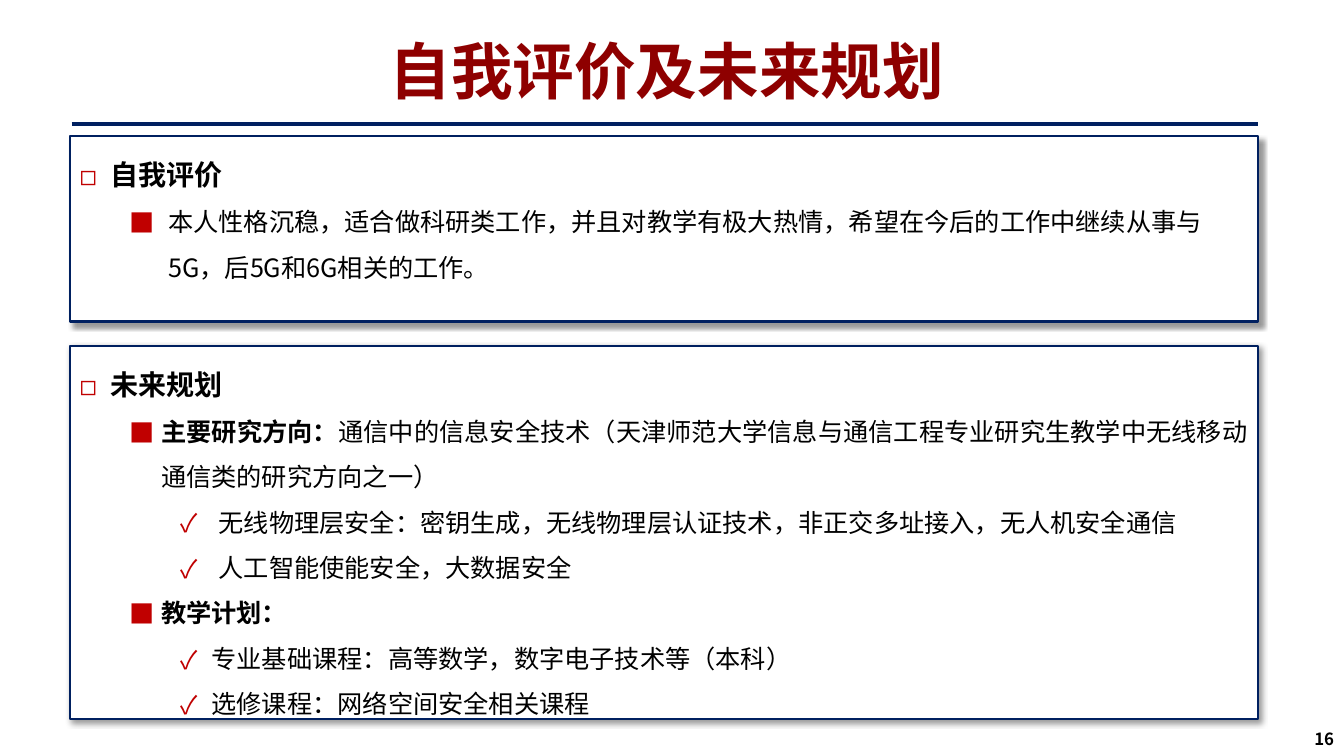
import pptx
import pptx.util
import pptx.dml.color
import pptx.enum.shapes
import pptx.enum.text
import pptx.oxml.ns
from lxml import etree

RGB = pptx.dml.color.RGBColor
NAVY = RGB(0x00, 0x20, 0x60)
RED = RGB(0xC0, 0x00, 0x00)
DARK_RED = RGB(0x8E, 0x00, 0x00)
BLACK = RGB(0, 0, 0)
WHITE = RGB(0xFF, 0xFF, 0xFF)
FONT = "Noto Sans CJK SC"
ALIGN = pptx.enum.text.PP_ALIGN
ANCHOR = pptx.enum.text.MSO_ANCHOR
RECT = pptx.enum.shapes.MSO_SHAPE.RECTANGLE
Inches = pptx.util.Inches
Pt = pptx.util.Pt

prs = pptx.Presentation()
prs.slide_width, prs.slide_height = Inches(13.33), Inches(7.5)
s = prs.slides.add_slide(prs.slide_layouts[6])

# Column shared by the rule and both panels
LEFT, WIDTH = 0.69, 11.79
RIGHT = LEFT + WIDTH


def sub(parent, tag, **attrs):
    return etree.SubElement(parent, pptx.oxml.ns.qn(tag), attrs)


def add_run(p, text, size, bold, color=BLACK):
    r = p.add_run()
    r.text = text
    for name, value in {"name": FONT, "size": Pt(size), "bold": bold}.items():
        setattr(r.font, name, value)
    r.font.color.rgb = color
    sub(r.font._element, "a:ea", typeface=FONT)


# Rule under the title
rule = s.shapes.add_connector(pptx.enum.shapes.MSO_CONNECTOR.STRAIGHT,
                              Inches(0.71), Inches(1.23), Inches(RIGHT), Inches(1.23))
rule.line.color.rgb = NAVY
rule.line.width = Pt(3)
sub(rule._element.spPr, "a:effectLst")

# Slide number and title
labels = [
    ("16", (RIGHT, 7.15, 0.85, 0.35), ALIGN.RIGHT, 12, BLACK),
    ("自我评价及未来规划", (2.36, 0.27, 8.51, 0.84), ALIGN.CENTER, 44, DARK_RED),
]
for text, box, align, size, color in labels:
    sp = s.shapes.add_textbox(*map(Inches, box))
    tf = sp.text_frame
    tf.word_wrap = True
    tf.vertical_anchor = ANCHOR.MIDDLE
    tf.paragraphs[0].alignment = align
    add_run(tf.paragraphs[0], text, size, True, color)

# Panels: top, height, rows of (level, text indent, hanging, alignment, runs)
BULLETS = "◻■✓"
panels = [
    (1.35, 1.84, [
        (0, 0.31, 0.31, ALIGN.LEFT, [("自我评价", True)]),
        (1, 0.88, 0.38, ALIGN.LEFT, [
            ("本人性格沉稳，适合做科研类工作，并且对教学有极大热情，"
             "希望在今后的工作中继续从事与5G，后5G和6G相关的工作。", False)]),
    ]),
    (3.43, 3.7, [
        (0, 0.31, 0.31, ALIGN.LEFT, [("未来规划", True)]),
        (1, 0.81, 0.31, ALIGN.JUSTIFY, [
            ("主要研究方向：", True),
            ("通信中的信息安全技术（天津师范大学信息与通信工程专业"
             "研究生教学中无线移动通信类的研究方向之一）", False)]),
        (2, 1.38, 0.38, ALIGN.JUSTIFY, [
            ("无线物理层安全：密钥生成，无线物理层认证技术，"
             "非正交多址接入，无人机安全通信", False)]),
        (2, 1.38, 0.38, ALIGN.JUSTIFY, [("人工智能使能安全，大数据安全", False)]),
        (1, 0.81, 0.31, ALIGN.JUSTIFY, [("教学计划：", True)]),
        (2, 1.31, 0.31, ALIGN.JUSTIFY, [
            ("专业基础课程：高等数学，数字电子技术等（本科）", False)]),
        (2, 1.31, 0.31, ALIGN.JUSTIFY, [("选修课程：网络空间安全相关课程", False)]),
    ]),
]
for top, height, rows in panels:
    sp = s.shapes.add_shape(RECT, *map(Inches, (LEFT, top, WIDTH, height)))
    sp.fill.solid()
    sp.fill.fore_color.rgb = WHITE
    sp.line.color.rgb = NAVY
    sp.line.width = Pt(1.5)

    # Soft shadow to the lower right
    sp.shadow.inherit = False
    effects = sp._element.spPr.find(pptx.oxml.ns.qn("a:effectLst"))
    shadow = sub(effects, "a:outerShdw", blurRad=str(Pt(4)), dist=str(Pt(3)),
                 dir=str(45 * 60000), algn="tl", rotWithShape="0")
    sub(sub(shadow, "a:srgbClr", val=str(BLACK)), "a:alpha", val="40000")

    # Bulleted text
    tf = sp.text_frame
    tf.word_wrap = True
    tf.vertical_anchor = ANCHOR.TOP
    for i, (level, indent, hanging, align, runs) in enumerate(rows):
        p = tf.add_paragraph() if i else tf.paragraphs[0]
        for name, value in {"level": level, "alignment": align, "line_spacing": 1.5}.items():
            setattr(p, name, value)
        pPr = p._p.get_or_add_pPr()
        pPr.set("marL", str(Inches(indent)))
        pPr.set("indent", str(-Inches(hanging)))
        sub(sub(pPr, "a:buClr"), "a:srgbClr", val=str(RED))
        sub(pPr, "a:buFont", typeface=FONT)
        sub(pPr, "a:buChar", char=BULLETS[level])
        for text, bold in runs:
            add_run(p, text, 18 if level else 20, bold)

prs.save("out.pptx")
